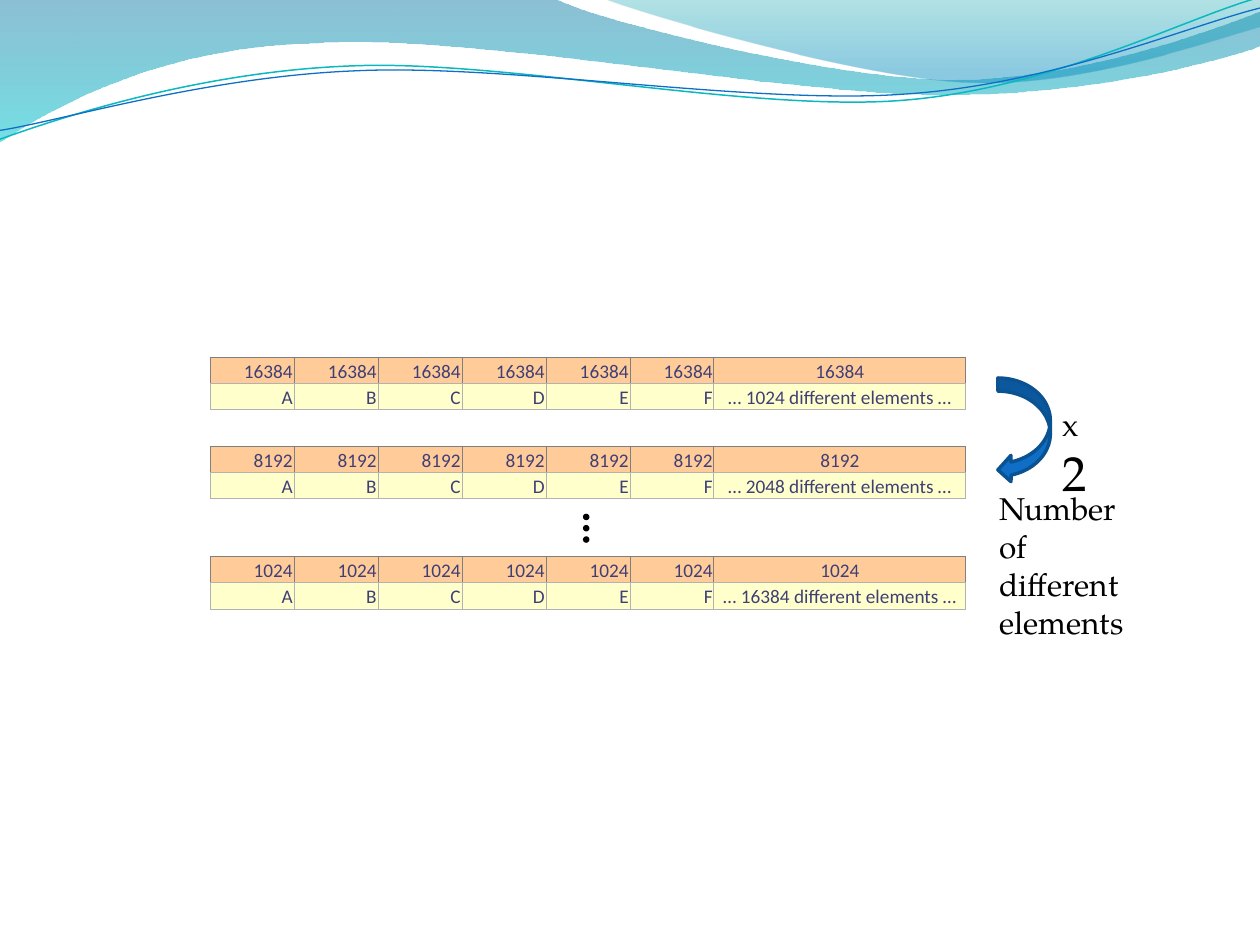
import lxml.etree
import pptx
import pptx.dml.color
import pptx.enum.shapes
import pptx.enum.text
import pptx.oxml.ns
import pptx.util

THEME = {
    "table_font": "Calibri", "table_size": 11, "table_text": "3F3F76",
    "count_fill": "FFCC99", "element_fill": "FFFFCC",
    "dark_border": "7F7F7F", "light_border": "B2B2B2", "border_width": 0.5,
    "label_font": "TeX Gyre Pagella", "label_size": 18, "factor_size": 28,
    "black": "000000", "arrow_fill": "0F6FC6", "arrow_line": "0B5292",
    # Each gradient stop: position, colour, opacity in percent
    "wide_wave": [(0, "0074A1", 45), (1, "00C6CF", 55)],
    "corner_wave": [(0, "00A1A9", 30), (0.8, "008BBF", 45)],
    "upper_line": ("0AB8BF", 0.85), "lower_line": ("0F6FC6", 0.75),
}
rgb = pptx.dml.color.RGBColor.from_string
qn = pptx.oxml.ns.qn

deck = pptx.Presentation()
deck.slide_width = pptx.util.Inches(10)
deck.slide_height = pptx.util.Inches(7.5)
COLUMN = deck.slide_width // 15
ROW = deck.slide_height // 36
page = deck.slides.add_slide(deck.slide_layouts[6])


def add_wave(start, segments, closed):
    """Draw lines (one point) and cubic curves (three points), in inches."""
    points = [(pptx.util.Inches(x), pptx.util.Inches(y))
              for x, y in [start, *(point for segment in segments for point in segment)]]
    builder = page.shapes.build_freeform(*points[0])
    builder.add_line_segments(points[1:], close=closed)
    wave = builder.convert_to_shape()
    wave.shadow.inherit = False
    steps = iter(list(wave._element.spPr.iter(qn("a:lnTo"))))
    for segment in segments:
        first, *others = [next(steps) for _ in segment]
        if others:
            curve = lxml.etree.Element(qn("a:cubicBezTo"))
            first.addprevious(curve)
            for step in (first, *others):
                curve.append(step[0])
                step.getparent().remove(step)
    return wave


def set_borders(cell, colours):
    """Set the left, right, top and bottom border of a cell, in that order."""
    properties = cell._tc.get_or_add_tcPr()
    for side, colour in zip("LRTB", colours):
        border = lxml.etree.SubElement(
            properties, qn(f"a:ln{side}"), w=str(pptx.util.Pt(THEME["border_width"])))
        solid = lxml.etree.SubElement(border, qn("a:solidFill"))
        lxml.etree.SubElement(solid, qn("a:srgbClr"), val=colour)


# Filled waves along the top
filled_waves = [
    ("wide_wave", (0, 0), [
        [(4.4, -0.01)],
        [(4.76, 0.17), (6.64, 0.63), (7.58, 0.63)],
        [(8.53, 0.63), (9.58, 0.26), (10, 0.09)],
        [(10.01, 0.36)],
        [(9.83, 0.44), (8.7, 0.76), (7.46, 0.75)],
        [(6.22, 0.75), (3.82, 0.28), (2.57, 0.34)],
        [(1.29, 0.36), (0.46, 0.83), (-0.01, 1.13)],
        [(0, 0)]]),
    ("corner_wave", (4.79, -0.01), [
        [(5.09, 0.11), (6.82, 0.62), (7.69, 0.65)],
        [(8.56, 0.69), (9.61, 0.32), (10, 0.21)],
        [(10, 0)],
        [(4.79, -0.01)]]),
]
for name, start, segments in filled_waves:
    wave = add_wave(start, segments, closed=True)
    wave.line.fill.background()
    wave.fill.gradient()
    wave.fill.gradient_angle = 270
    for stop, (position, colour, _) in zip(wave.fill.gradient_stops, THEME[name]):
        stop.position = position
        stop.color.rgb = rgb(colour)
    colour_nodes = list(wave._element.spPr.iter(qn("a:srgbClr")))
    for node, (_, _, opacity) in zip(colour_nodes, THEME[name]):
        lxml.etree.SubElement(node, qn("a:alpha"), val=str(opacity * 1000))

# Thin wave lines, tilted as a whole
wave_lines = [
    ("upper_line", (-0.02, 0.87), [
        [(0.47, 0.72), (1.58, 0.41), (2.78, 0.42)],
        [(3.96, 0.42), (5.91, 0.93), (7.12, 0.9)],
        [(8.32, 0.87), (9.4, 0.36), (10, 0.22)]]),
    ("lower_line", (-0.02, 0.8), [
        [(0.46, 0.75), (1.64, 0.45), (2.83, 0.46)],
        [(4.03, 0.46), (5.96, 0.88), (7.16, 0.85)],
        [(8.35, 0.83), (9.42, 0.42), (10.02, 0.3)]]),
]
for name, start, segments in wave_lines:
    wave = add_wave(start, segments, closed=False)
    colour, width = THEME[name]
    wave.rotation = 357.3
    wave.fill.background()
    wave.line.color.rgb = rgb(colour)
    wave.line.width = pptx.util.Pt(width)

# Dots for the tables left out
for step in range(3):
    dot = page.shapes.add_shape(
        pptx.enum.shapes.MSO_SHAPE.OVAL, int(6.94 * COLUMN),
        int((19.57 + 0.43 * step) * ROW), ROW // 4, ROW // 4)
    dot.shadow.inherit = False
    dot.fill.solid()
    dot.fill.fore_color.rgb = rgb(THEME["black"])
    dot.line.fill.background()

# Tables: how often each element occurs, above the elements
dark, light = THEME["dark_border"], THEME["light_border"]
align = pptx.enum.text.PP_ALIGN
for top, count, distinct in [(13.6, 16384, 1024), (17, 8192, 2048), (21.2, 1024, 16384)]:
    table = page.shapes.add_table(
        2, 7, int(2.5 * COLUMN), int(top * ROW), 9 * COLUMN, 2 * ROW).table
    for index, column in enumerate(table.columns):
        column.width = COLUMN if index < 6 else 3 * COLUMN
    table_rows = [
        ([str(count)] * 7, THEME["count_fill"], (dark, dark, dark, light)),
        ([*"ABCDEF", f"… {distinct} different elements …"],
         THEME["element_fill"], (light,) * 4),
    ]
    for row, (texts, fill, borders) in enumerate(table_rows):
        for index, text in enumerate(texts):
            cell = table.cell(row, index)
            set_borders(cell, borders)
            cell.fill.solid()
            cell.fill.fore_color.rgb = rgb(fill)
            cell.margin_left = cell.margin_right = cell.margin_top = pptx.util.Inches(0.01)
            cell.margin_bottom = 0
            cell.vertical_anchor = pptx.enum.text.MSO_ANCHOR.BOTTOM
            para = cell.text_frame.paragraphs[0]
            para.alignment = align.RIGHT if index < 6 else align.CENTER
            span = para.add_run()
            span.text = text
            span.font.name = THEME["table_font"]
            span.font.size = pptx.util.Pt(THEME["table_size"])
            span.font.color.rgb = rgb(THEME["table_text"])

# Doubling arrow
arrow = page.shapes.add_shape(
    pptx.enum.shapes.MSO_SHAPE.CURVED_LEFT_ARROW,
    int(11.88 * COLUMN), int(14.4 * ROW), 2 * ROW, 4 * ROW)
arrow.shadow.inherit = False
arrow.fill.solid()
arrow.fill.fore_color.rgb = rgb(THEME["arrow_fill"])
arrow.line.color.rgb = rgb(THEME["arrow_line"])
arrow.line.width = pptx.util.Pt(2)

# Labels: left, top, width and height in columns and rows, then paragraphs of runs
label_size = THEME["label_size"]
labels = [
    (12.5, 15.2, 0.85, 2.74, [[("x ", label_size), ("2", THEME["factor_size"])]]),
    (11.75, 18.4, 2.05, 4.85,
     [[(line, label_size)] for line in ("Number of", "different", "elements")]),
]
for left, top, width, height, lines in labels:
    box = page.shapes.add_textbox(
        int(left * COLUMN), int(top * ROW), int(width * COLUMN), int(height * ROW))
    frame = box.text_frame
    frame.word_wrap = True
    for index, line in enumerate(lines):
        para = frame.add_paragraph() if index else frame.paragraphs[0]
        for text, size in line:
            span = para.add_run()
            span.text = text
            span.font.name = THEME["label_font"]
            span.font.size = pptx.util.Pt(size)
            span.font.color.rgb = rgb(THEME["black"])

deck.save("out.pptx")
